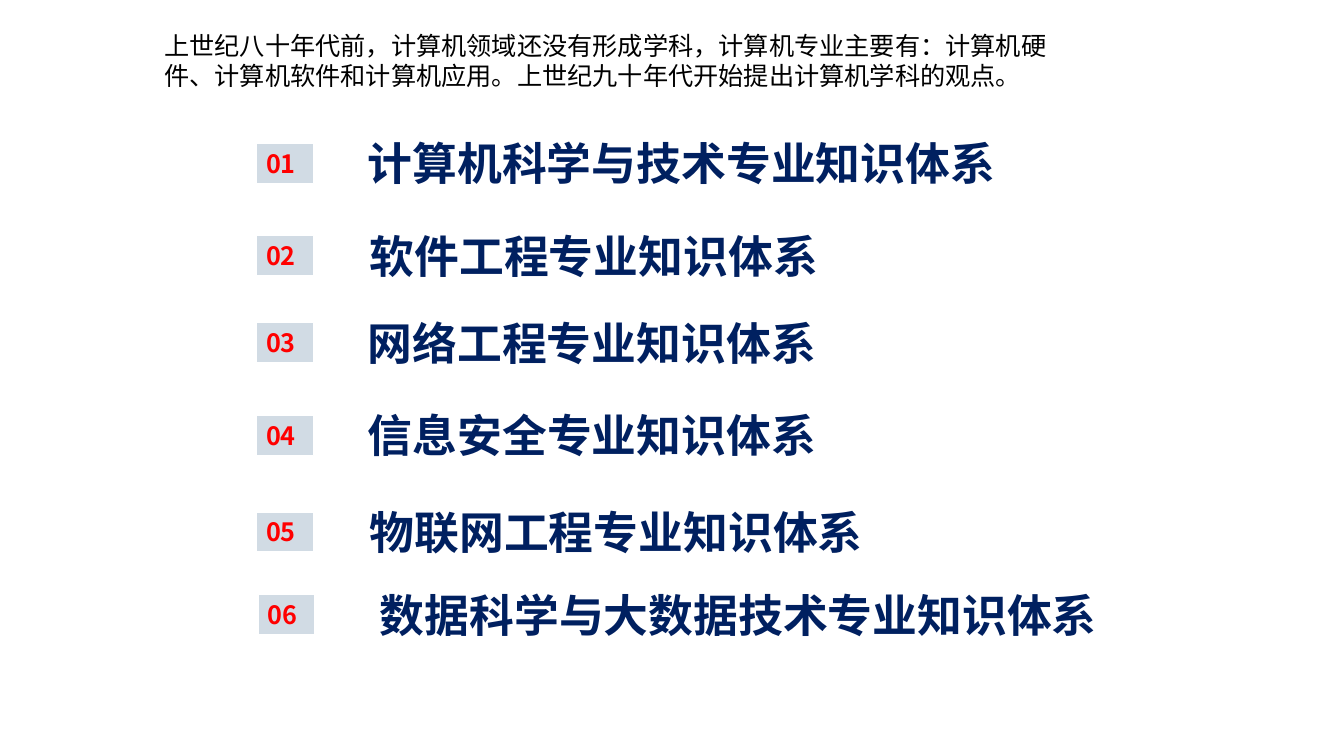
"""Build a slide listing six computing programmes and their numbers."""
from dataclasses import dataclass

from lxml import etree
from pptx import Presentation
from pptx.dml.color import RGBColor
from pptx.enum.shapes import MSO_SHAPE
from pptx.enum.text import MSO_ANCHOR, PP_ALIGN
from pptx.oxml.ns import qn
from pptx.shapes.autoshape import Shape
from pptx.slide import Slide
from pptx.util import Pt

RECTANGLE = MSO_SHAPE.RECTANGLE
TOP = MSO_ANCHOR.TOP
LEFT = PP_ALIGN.LEFT

NAVY = RGBColor(0x00, 0x20, 0x60)
RED = RGBColor(0xFF, 0x00, 0x00)
BLACK = RGBColor(0x00, 0x00, 0x00)
WHITE = RGBColor(0xFF, 0xFF, 0xFF)
PALE_BLUE = RGBColor(0xD1, 0xDB, 0xE4)

FONT = "Noto Sans CJK SC"
BADGE_WIDTH, BADGE_HEIGHT = 41, 28.8
TITLE_HEIGHT = 46
BADGE_DROP = 8.6
INTRO = (
    "上世纪八十年代前，计算机领域还没有形成学科，计算机专业主要有：计算机硬件、"
    "计算机软件和计算机应用。上世纪九十年代开始提出计算机学科的观点。"
)


@dataclass(frozen=True)
class Programme:
    title: str
    top: float
    title_left: float
    title_width: float
    badge_left: float = 183


PROGRAMMES = (
    Programme("计算机科学与技术专业知识体系", 93.6, 255.6, 479.5),
    Programme("软件工程专业知识体系", 159.8, 257, 398),
    Programme("网络工程专业知识体系", 222, 255.6, 437),
    Programme("信息安全专业知识体系", 288, 255.6, 398),
    Programme("物联网工程专业知识体系", 357, 257, 398),
    Programme("数据科学与大数据技术专业知识体系", 416.2, 264.2, 570, 184.2),
)


def write_text(shape: Shape, text: str, size: float, color: RGBColor, bold: bool) -> None:
    """Fill a shape with one left-aligned paragraph."""
    frame = shape.text_frame
    frame.word_wrap = True
    frame.vertical_anchor = TOP
    paragraph = frame.paragraphs[0]
    paragraph.text = text
    paragraph.alignment = LEFT
    font = paragraph.font
    font.name = FONT
    font.size = Pt(size)
    font.bold = bold
    font.color.rgb = color
    defaults = paragraph._p.pPr.find(qn("a:defRPr"))
    east_asian = etree.SubElement(defaults, qn("a:ea"))
    east_asian.set("typeface", FONT)


def add_label(slide: Slide, left: float, top: float, width: float, height: float,
              text: str, size: float, color: RGBColor, bold: bool) -> None:
    """Add a text box."""
    box = slide.shapes.add_textbox(Pt(left), Pt(top), Pt(width), Pt(height))
    write_text(box, text, size, color, bold)


def add_badge(slide: Slide, left: float, top: float, number: int) -> None:
    """Add a numbered rectangle."""
    badge = slide.shapes.add_shape(
        RECTANGLE, Pt(left), Pt(top), Pt(BADGE_WIDTH), Pt(BADGE_HEIGHT))
    badge.shadow.inherit = False
    badge.fill.solid()
    badge.fill.fore_color.rgb = PALE_BLUE
    badge.line.color.rgb = WHITE
    badge.line.width = Pt(1)
    write_text(badge, f"{number:02d}", 18, RED, True)


def add_programme(slide: Slide, number: int, programme: Programme) -> None:
    """Add one numbered row."""
    add_badge(slide, programme.badge_left, programme.top + BADGE_DROP, number)
    add_label(slide, programme.title_left, programme.top, programme.title_width,
              TITLE_HEIGHT, programme.title, 32, NAVY, True)


def main() -> None:
    """Build and save the presentation."""
    presentation = Presentation()
    presentation.slide_width = Pt(960)
    presentation.slide_height = Pt(540)
    slide = presentation.slides.add_slide(presentation.slide_layouts[6])
    for number, programme in enumerate(PROGRAMMES, start=1):
        add_programme(slide, number, programme)
    add_label(slide, 110.2, 18, 661, 51, INTRO, 18, BLACK, False)
    presentation.save("out.pptx")


if __name__ == "__main__":
    main()
